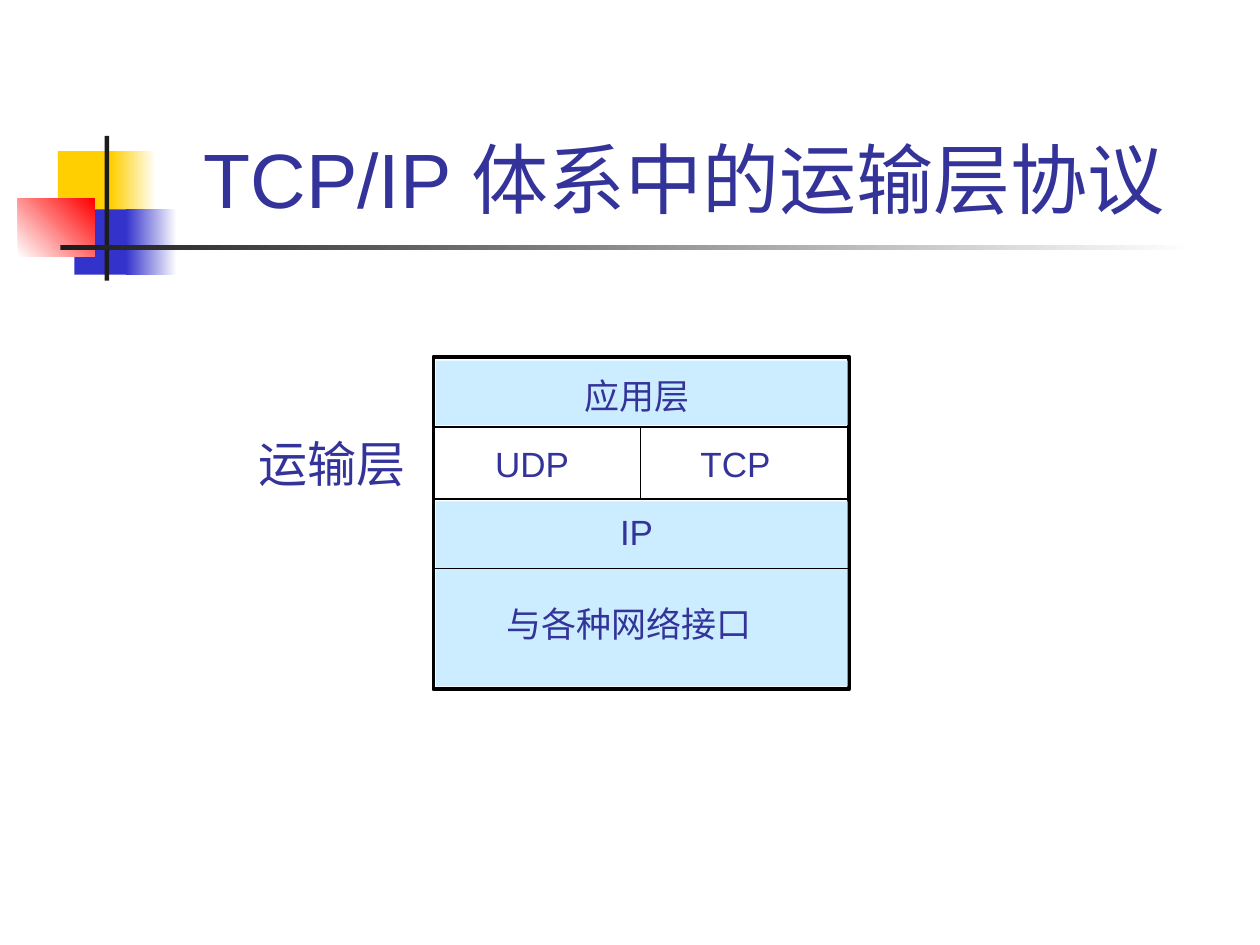
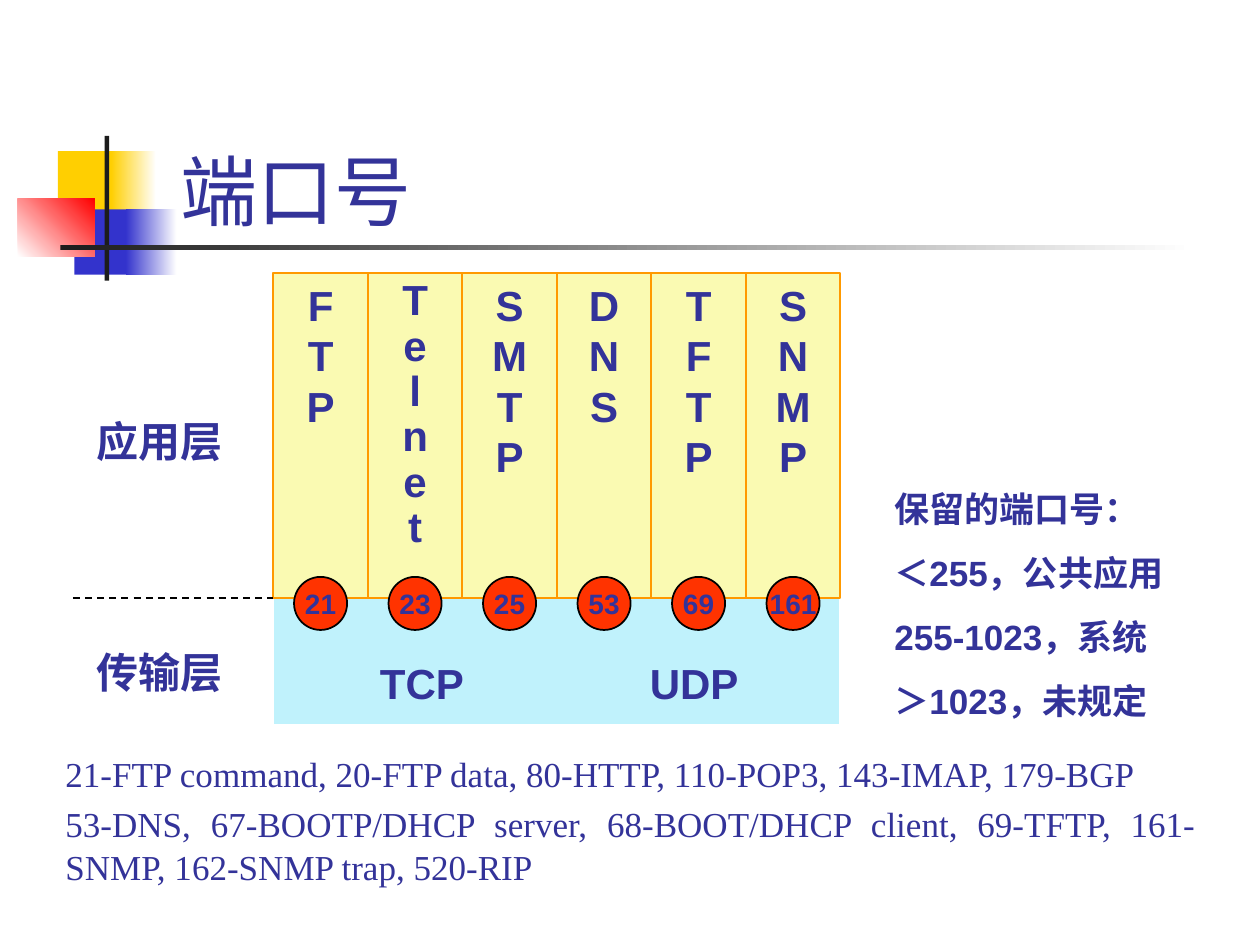
from dataclasses import dataclass

from lxml import etree
from pptx import Presentation
from pptx.dml.color import RGBColor
from pptx.enum.dml import MSO_LINE
from pptx.enum.shapes import MSO_CONNECTOR, MSO_SHAPE
from pptx.enum.text import MSO_ANCHOR, MSO_AUTO_SIZE, PP_ALIGN
from pptx.oxml.ns import qn
from pptx.util import Cm, Pt

RECTANGLE, OVAL = MSO_SHAPE.RECTANGLE, MSO_SHAPE.OVAL
STRAIGHT, DASH = MSO_CONNECTOR.STRAIGHT, MSO_LINE.DASH
LEFT, CENTER, JUSTIFY = PP_ALIGN.LEFT, PP_ALIGN.CENTER, PP_ALIGN.JUSTIFY
TOP, MIDDLE, BOTTOM = MSO_ANCHOR.TOP, MSO_ANCHOR.MIDDLE, MSO_ANCHOR.BOTTOM
NO_AUTOSIZE = MSO_AUTO_SIZE.NONE

INK = RGBColor(0x33, 0x33, 0x99)
BLACK = RGBColor(0x00, 0x00, 0x00)
WHITE = RGBColor(0xFF, 0xFF, 0xFF)
YELLOW = RGBColor(0xFF, 0xCF, 0x01)
BLUE = RGBColor(0x33, 0x33, 0xCC)
RED = RGBColor(0xFF, 0x00, 0x00)
CHARCOAL = RGBColor(0x1C, 0x1C, 0x1C)
LAYER_BLUE = RGBColor(0xCC, 0xEC, 0xFF)
TRANSPORT_BLUE = RGBColor(0xC0, 0xF2, 0xFC)
COLUMN_YELLOW = RGBColor(0xFA, 0xFA, 0xB2)
COLUMN_ORANGE = RGBColor(0xFF, 0x99, 0x00)
PORT_RED = RGBColor(0xFF, 0x33, 0x00)

TITLE_ONLY = 5
TITLE_SIZE = 44


@dataclass
class Box:
    """A region in centimetres."""
    left: float
    top: float
    width: float
    height: float

    def inner(self, left, top, width, height):
        """Return a box placed relative to this one."""
        return Box(self.left + left, self.top + top, width, height)

    def lengths(self):
        return [Cm(value) for value in
                (self.left, self.top, self.width, self.height)]


def write_text(frame, lines, size, font="Arial", bold=False, align=LEFT,
               anchor=TOP, wrap=True, gap=0, line_spacing=None):
    """Write one paragraph per line, with a gap in points between them."""
    frame.word_wrap = wrap
    frame.auto_size = NO_AUTOSIZE
    frame.vertical_anchor = anchor
    for index, line in enumerate(lines):
        para = frame.paragraphs[0] if index == 0 else frame.add_paragraph()
        para.alignment = align
        para.line_spacing = line_spacing
        if index and gap:
            para.space_before = Pt(gap)
        span = para.add_run()
        span.text = line
        span.font.name = font
        span.font.size = Pt(size)
        span.font.bold = bold
        span.font.color.rgb = INK


def add_label(page, box, lines, size, **style):
    label = page.shapes.add_textbox(*box.lengths())
    write_text(label.text_frame, lines, size, **style)
    return label


def add_block(page, box, fill, line=None, line_width=1, kind=RECTANGLE):
    block = page.shapes.add_shape(kind, *box.lengths())
    block.shadow.inherit = False
    block.fill.solid()
    block.fill.fore_color.rgb = fill
    if line is None:
        block.line.fill.background()
    else:
        block.line.color.rgb = line
        block.line.width = Pt(line_width)
    return block


def add_fade(page, box, start, end, angle=0):
    fade = add_block(page, box, start)
    fade.fill.gradient()
    fade.fill.gradient_angle = angle
    for stop, color in zip(fade.fill.gradient_stops, (start, end)):
        stop.color.rgb = color
    return fade


def add_rule(page, left, top, right, bottom, dash=None):
    rule = page.shapes.add_connector(
        STRAIGHT, Cm(left), Cm(top), Cm(right), Cm(bottom))
    rule.line.color.rgb = BLACK
    rule.line.width = Pt(1)
    if dash is not None:
        rule.line.dash_style = dash
    etree.SubElement(rule.element.spPr, qn("a:effectLst"))


def add_tab_stop(para, position):
    tabs = etree.SubElement(para._p.get_or_add_pPr(), qn("a:tabLst"))
    etree.SubElement(tabs, qn("a:tab"), pos=str(Cm(position)), algn="l")


def add_title(page, box, text, font, align=LEFT):
    title = page.shapes.title
    title.left, title.top, title.width, title.height = box.lengths()
    write_text(title.text_frame, [text], TITLE_SIZE, font=font,
               align=align, anchor=BOTTOM)


def decorate_layout(layout, page, box):
    """Draw the shared squares and bars, then move them to the layout."""
    ornaments = [
        add_block(page, box.inner(0.81, 0.31, 1.22, 1.32), YELLOW),
        add_fade(page, box.inner(1.88, 0.31, 0.91, 1.32), YELLOW, WHITE),
        add_block(page, box.inner(1.14, 1.48, 1.17, 1.32), BLUE),
        add_fade(page, box.inner(2.18, 1.48, 1.02, 1.32), BLUE, WHITE),
        add_fade(page, box.inner(0, 1.27, 1.55, 1.17), WHITE, RED, 45),
        add_block(page, box.inner(1.75, 0, 0.09, 2.92), CHARCOAL),
        add_fade(page, box.inner(0.86, 2.2, 22.86, 0.1), CHARCOAL, WHITE),
    ]
    for ornament in ornaments:
        layout.shapes.element.append(ornament.element)


def draw_protocol_stack(page, box):
    add_block(page, box, WHITE, BLACK, 2.25)
    for top, height in ((0.08, 1.3), (2.92, 3.73)):
        add_block(page, box.inner(0.05, top, 8.3, height), LAYER_BLUE)
    for offset in (1.42, 2.87, 4.27):
        height = box.top + offset
        add_rule(page, box.left, height, box.left + box.width, height)
    middle = box.left + 4.17
    add_rule(page, middle, box.top + 1.42, middle, box.top + 2.87)

    layers = [
        ("应用层", 2.79, 0.23, 2.62),
        ("UDP", 0.99, 1.6, 2.01),
        ("TCP", 5.13, 1.6, 1.93),
        ("IP", 3.51, 2.97, 1.17),
    ]
    for name, left, top, width in layers:
        add_label(page, box.inner(left, top, width, 1.09), [name], 20,
                  wrap=False)
    add_label(page, box.inner(1.22, 4.83, 6.4, 1.09), ["与各种网络接口"], 20)
    add_label(page, box.inner(-3.78, 1.42, 3.45, 1.45), ["运输层"], 28,
              font="Lato", wrap=False)


def draw_port_diagram(page, box):
    services = [("FTP", 21), ("Telnet", 23), ("SMTP", 25),
                ("DNS", 53), ("TFTP", 69), ("SNMP", 161)]
    column_width = box.width / len(services)
    application_height = 6.55
    port_size = 1.07

    add_block(page, box.inner(0, application_height, box.width,
                              box.height - application_height),
              TRANSPORT_BLUE, WHITE)
    for index, (name, _) in enumerate(services):
        column = add_block(
            page, box.inner(index * column_width, 0, column_width,
                            application_height),
            COLUMN_YELLOW, COLUMN_ORANGE)
        write_text(column.text_frame, name, 24, bold=True, align=CENTER,
                   wrap=False, line_spacing=0.9 if len(name) > 4 else None)
    for index, (_, number) in enumerate(services):
        left = (index + 0.5) * column_width - port_size / 2
        port = add_block(page, box.inner(left, 6.12, port_size, port_size),
                         PORT_RED, BLACK, kind=OVAL)
        write_text(port.text_frame, [str(number)], 16, bold=True,
                   align=CENTER, anchor=MIDDLE, wrap=False)

    border = box.top + application_height
    add_rule(page, box.left - 4.04, border, box.left, border, DASH)
    for name, top in (("应用层", 2.74), ("传输层", 7.39)):
        add_label(page, box.inner(-3.81, top, 3.18, 1.27), [name], 24,
                  bold=True)
    protocols = add_label(page, box.inner(1.9, 7.62, 8.46, 1.27),
                          ["TCP\tUDP"], 24, bold=True)
    add_tab_stop(protocols.text_frame.paragraphs[0], 5.44)


def draw_port_ranges(page, box):
    add_label(page, box, [
        "保留的端口号：",
        "＜255，公共应用",
        "255-1023，系统",
        "＞1023，未规定",
    ], 20, bold=True, gap=12.5)


def draw_port_list(page, box):
    add_label(page, box, [
        "21-FTP command, 20-FTP data, 80-HTTP, 110-POP3, 143-IMAP, 179-BGP",
        "53-DNS, 67-BOOTP/DHCP server, 68-BOOT/DHCP client, 69-TFTP, "
        "161-SNMP, 162-SNMP trap, 520-RIP",
    ], 20, font="Times New Roman", align=JUSTIFY, gap=5)


def build_stack_page(page):
    add_title(page, Box(2.98, 0.58, 21.64, 4.06),
              "TCP/IP 体系中的运输层协议", "Arial", CENTER)
    draw_protocol_stack(page, Box(8.74, 7.19, 8.38, 6.71))


def build_ports_page(page):
    add_title(page, Box(3.38, 2.34, 19.68, 2.54), "端口号", "Calibri")
    draw_port_diagram(page, Box(5.51, 5.51, 11.43, 9.1))
    draw_port_ranges(page, Box(17.78, 9.7, 6.78, 4.98))
    draw_port_list(page, Box(1.07, 15.04, 23.29, 2.97))


def main():
    deck = Presentation()
    deck.slide_width, deck.slide_height = Cm(25.4), Cm(19.05)
    layout = deck.slide_layouts[TITLE_ONLY]
    stack_page = deck.slides.add_slide(layout)
    decorate_layout(layout, stack_page, Box(0.36, 2.74, 23.72, 2.92))
    build_stack_page(stack_page)
    build_ports_page(deck.slides.add_slide(layout))
    deck.save("out.pptx")


if __name__ == "__main__":
    main()
